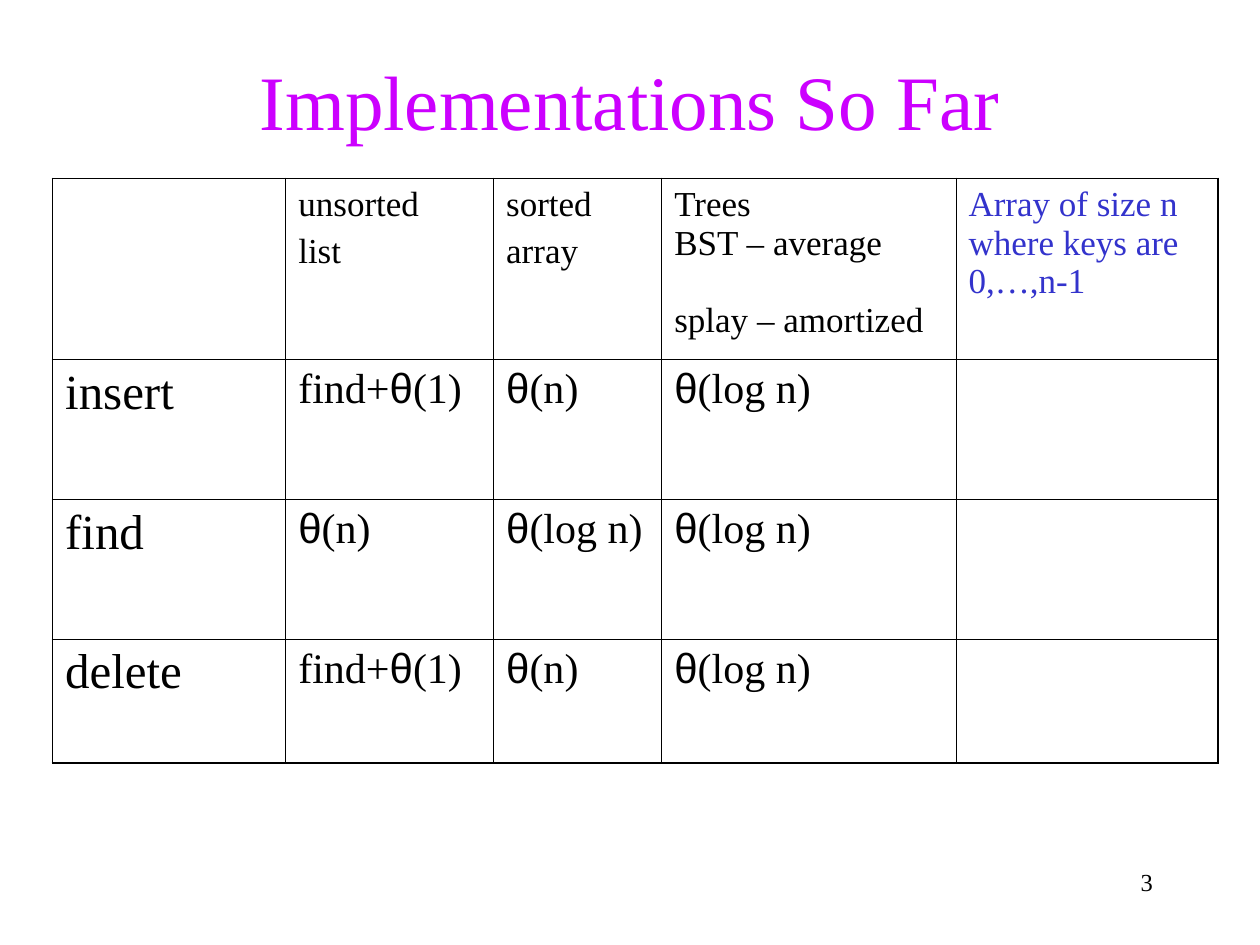
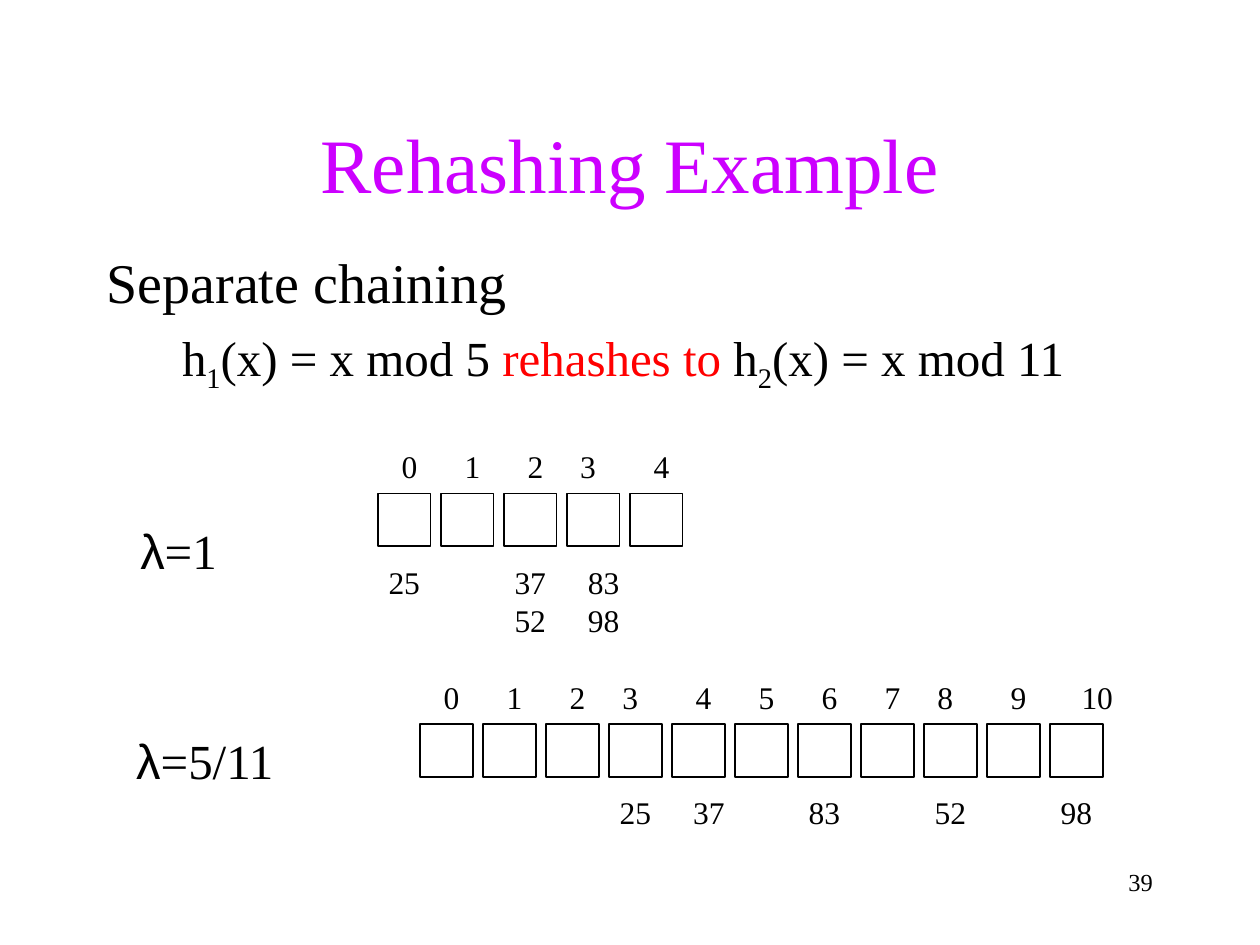
from itertools import groupby

from lxml import etree
from pptx import Presentation
from pptx.dml.color import RGBColor
from pptx.enum.shapes import MSO_SHAPE
from pptx.enum.text import MSO_ANCHOR, PP_ALIGN
from pptx.oxml.ns import qn
from pptx.util import Cm, Pt

LEFT, CENTER, RIGHT = PP_ALIGN.LEFT, PP_ALIGN.CENTER, PP_ALIGN.RIGHT
MIDDLE = MSO_ANCHOR.MIDDLE
RECT = MSO_SHAPE.RECTANGLE

BLACK, PURPLE, BLUE, RED = "000000", "CC00FF", "3333CC", "FF0000"
SERIF, GREEK_FONT, GREEK = "Times New Roman", "Arial", "θλ"

COSTS = {
    "title": "Implementations So Far",
    "title_top": 0.42,
    "number": "3",
    "header": [
        [],
        [("unsorted", 0), ("list", 5)],
        [("sorted", 0), ("array", 5)],
        [("Trees", 0), ("BST – average", 0), ("splay – amortized", 22)],
        [("Array of size n where keys are 0,…,n-1", 0)],
    ],
    "rows": [
        ["insert", "find+θ(1)", "θ(n)", "θ(log n)", ""],
        ["find", "θ(n)", "θ(log n)", "θ(log n)", ""],
        ["delete", "find+θ(1)", "θ(n)", "θ(log n)", ""],
    ],
    "col_widths": [4.7, 4.19, 3.39, 5.93, 5.29],
    "row_heights": [3.64, 2.82, 2.82, 2.5],
}

REHASH = {
    "title": "Rehashing Example",
    "title_top": 1.69,
    "number": "39",
    "heading": "Separate chaining",
    "formula": [
        ("h", BLACK, False), ("1", BLACK, True), ("(x) = x mod 5 ", BLACK, False),
        ("rehashes to", RED, False),
        (" h", BLACK, False), ("2", BLACK, True), ("(x) = x mod 11", BLACK, False),
    ],
    "hash_tables": [
        {"size": 5, "left": 7.62, "top": 9.95,
         "chains": {0: ["25"], 2: ["37", "52"], 3: ["83", "98"]}, "nudged": 3,
         "load": "λ=1", "load_box": (2.12, 10.37, 2.96, 1.44)},
        {"size": 11, "left": 8.47, "top": 14.6,
         "chains": {3: ["25"], 4: ["37"], 6: ["83"], 8: ["52"], 10: ["98"]}, "nudged": 4,
         "load": "λ=5/11", "load_box": (2.33, 14.6, 3.6, 1.44)},
    ],
}

PITCH, BUCKET = 1.27, 1.06


def rgb(value):
    return RGBColor.from_string(value)


def add_text(p, text, size, color=BLACK, subscript=False):
    for is_greek, chars in groupby(text, lambda c: c in GREEK):
        r = p.add_run()
        r.text = "".join(chars)
        r.font.size = Pt(size)
        r.font.name = GREEK_FONT if is_greek else SERIF
        r.font.color.rgb = rgb(color)
        if subscript:
            r.font._element.set("baseline", "-25000")


def write(tf, lines, size, color=BLACK, align=LEFT):
    for i, (text, before) in enumerate(lines):
        p = tf.add_paragraph() if i else tf.paragraphs[0]
        p.alignment = align
        p.space_before = Pt(before)
        add_text(p, text, size, color)


def add_box(s, left, top, width, height, lines, size, align=CENTER):
    tf = s.shapes.add_textbox(Cm(left), Cm(top), Cm(width), Cm(height)).text_frame
    tf.word_wrap = True
    write(tf, [(line, 0) for line in lines], size, align=align)
    return tf


def add_slide(prs, content):
    s = prs.slides.add_slide(prs.slide_layouts.get_by_name("Title Only"))
    sp = s.shapes.title
    sp.left, sp.top = Cm(1.9), Cm(content["title_top"])
    sp.width, sp.height = Cm(21.6), Cm(3.18)
    sp.text_frame.vertical_anchor = MIDDLE
    write(sp.text_frame, [(content["title"], 0)], 44, PURPLE, CENTER)
    add_box(s, 18.2, 17.36, 5.29, 1.27, [content["number"]], 14, RIGHT)
    return s


def set_borders(cell, outer):
    tcPr = cell._tc.get_or_add_tcPr()
    for side in "LRTB":
        width = Pt(1.08 if side in outer else 0.45)
        ln = etree.SubElement(tcPr, qn(f"a:ln{side}"), w=str(width))
        fill = etree.SubElement(ln, qn("a:solidFill"))
        etree.SubElement(fill, qn("a:srgbClr"), val=BLACK)


def add_cost_table(s, content):
    widths, heights = content["col_widths"], content["row_heights"]
    rows, cols = len(heights), len(widths)
    table = s.shapes.add_table(rows, cols, Cm(1.06), Cm(3.6),
                               Cm(sum(widths)), Cm(sum(heights))).table
    table.first_row = table.horz_banding = False
    for column, width in zip(table.columns, widths):
        column.width = Cm(width)
    for row, height in zip(table.rows, heights):
        row.height = Cm(height)
    body = [[[(text, 0)] if text else [] for text in row] for row in content["rows"]]
    for i, row in enumerate([content["header"]] + body):
        for j, lines in enumerate(row):
            cell = table.cell(i, j)
            edges = {"L": j == 0, "R": j == cols - 1, "T": i == 0, "B": i == rows - 1}
            set_borders(cell, [side for side, is_outer in edges.items() if is_outer])
            cell.fill.background()
            size = 20 if i == 0 else 28 if j == 0 else 24
            write(cell.text_frame, lines, size, BLUE if j == cols - 1 else BLACK)


def add_hash_table(s, size, left, top, chains, nudged, load, load_box):
    add_box(s, *load_box, [load], 28)
    for i in range(size):
        x = left + i * PITCH
        sp = s.shapes.add_shape(RECT, Cm(x), Cm(top), Cm(BUCKET), Cm(BUCKET))
        sp.shadow.inherit = False
        sp.fill.background()
        sp.line.color.rgb = rgb(BLACK)
        sp.line.width = Pt(1)
        index_left = x if i % 5 == 3 else x + 0.21
        index_width = 1.48 if i > 9 else 0.85
        add_box(s, index_left, top - 1.06, index_width, 1.02, [str(i)], 18)
        if i in chains:
            chain_left = x - (0.21 if i == nudged else 0.42)
            chain_height = 0.25 + 0.77 * len(chains[i])
            add_box(s, chain_left, top + 1.27, 1.9, chain_height, chains[i], 18)


def add_formula(s, content):
    tf = add_box(s, 1.9, 4.87, 21.6, 4.02, [content["heading"]], 32, LEFT)
    p = tf.add_paragraph()
    p._p.get_or_add_pPr().set("marL", str(Cm(1.52)))
    p.space_before = Pt(7)
    for text, color, subscript in content["formula"]:
        add_text(p, text, 28, color, subscript)


def main():
    prs = Presentation()
    prs.slide_width, prs.slide_height = Cm(25.4), Cm(19.05)
    add_cost_table(add_slide(prs, COSTS), COSTS)
    s = add_slide(prs, REHASH)
    add_formula(s, REHASH)
    for hash_table in REHASH["hash_tables"]:
        add_hash_table(s, **hash_table)
    prs.save("out.pptx")


if __name__ == "__main__":
    main()
